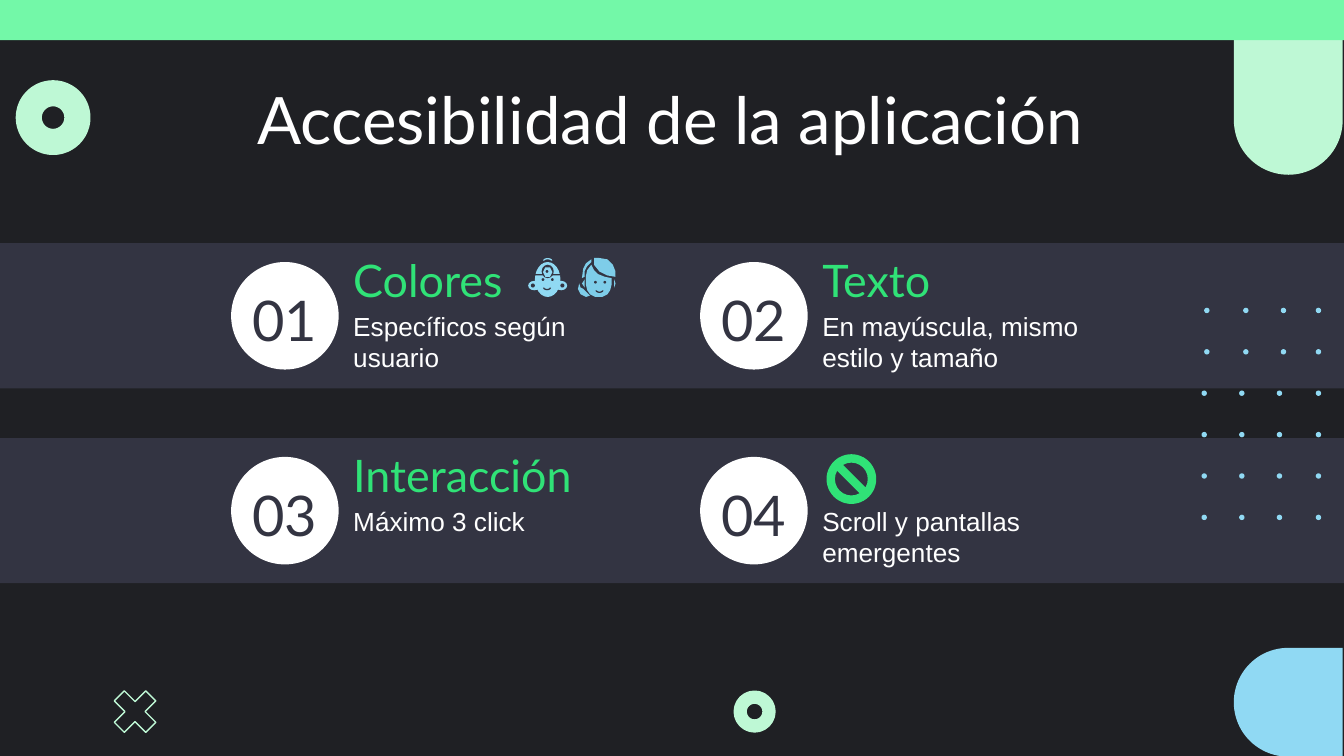
from pptx import Presentation
from pptx.dml.color import RGBColor
from pptx.enum.shapes import MSO_SHAPE
from pptx.enum.text import MSO_ANCHOR, PP_ALIGN
from pptx.util import Inches, Pt

RECTANGLE, OVAL, DONUT = MSO_SHAPE.RECTANGLE, MSO_SHAPE.OVAL, MSO_SHAPE.DONUT
CROSS, TAB = MSO_SHAPE.MATH_MULTIPLY, MSO_SHAPE.ROUND_2_SAME_RECTANGLE
BAN, ARCH, HEXAGON = MSO_SHAPE.NO_SYMBOL, MSO_SHAPE.BLOCK_ARC, MSO_SHAPE.HEXAGON
TOP, MIDDLE, BOTTOM = MSO_ANCHOR.TOP, MSO_ANCHOR.MIDDLE, MSO_ANCHOR.BOTTOM
LEFT, CENTER = PP_ALIGN.LEFT, PP_ALIGN.CENTER

COLORS = {
    "background": "1F2024", "band": "333442", "white": "FFFFFF",
    "green": "30E277", "bar": "73F8A8", "mint": "BEF8D5",
    "sky": "90D9F3", "blue": "7ECDE9",
}
TITLE = "Accesibilidad de la aplicación"
ITEMS = [
    ("01", "Colores", "Específicos según usuario"),
    ("02", "Texto", "En mayúscula, mismo estilo y tamaño"),
    ("03", "Interacción", "Máximo 3 click"),
    ("04", "", "Scroll y pantallas emergentes"),
]
COLUMN_LEFTS, COLUMN_WIDTHS = [1.72, 5.21], [2.25, 2.26]
BAND_TOP, BAND_HEIGHT, ROW_STEP = 1.81, 1.08, 1.45
DOT_SIZE, DOT_TOP, DOT_BOTTOM = 0.04, 2.29, 3.83
UPPER_DOTS, LOWER_DOTS = [8.96, 9.25, 9.53, 9.79], [8.94, 9.22, 9.5, 9.79]
DOT_ROWS = [UPPER_DOTS] * 2 + [LOWER_DOTS] * 4
DOT_STEP = (DOT_BOTTOM - DOT_TOP) / (len(DOT_ROWS) - 1)

CROWNED_FACE = [
    (OVAL, (3.93, 2.09, 0.09, 0.07), "sky"),
    (OVAL, (4.13, 2.09, 0.09, 0.07), "sky"),
    (OVAL, (3.95, 2.11, 0.03, 0.03), "band"),
    (OVAL, (4.17, 2.11, 0.03, 0.03), "band"),
    (OVAL, (3.98, 1.95, 0.19, 0.26), "sky"),
    (RECTANGLE, (3.97, 2.04, 0.21, 0.01), "band"),
    (OVAL, (4.03, 1.97, 0.09, 0.1), "band"),
    (HEXAGON, (4.04, 1.99, 0.07, 0.07), "sky"),
    (OVAL, (4.06, 2.01, 0.02, 0.02), "band"),
    (ARCH, (4.04, 1.92, 0.07, 0.04), "sky"),
]
HAIR_AND_FACE = [
    [(4.4, 1.97), (4.37, 2.01), (4.36, 2.05), (4.36, 2.12), (4.37, 2.16),
     (4.39, 2.19), (4.43, 2.21), (4.48, 2.21), (4.52, 2.19), (4.54, 2.16),
     (4.55, 2.12), (4.55, 2.07), (4.5, 2.06), (4.45, 2.04), (4.42, 2.01)],
    [(4.46, 1.92), (4.42, 1.92), (4.42, 1.97), (4.46, 2.02), (4.52, 2.05),
     (4.58, 2.06), (4.58, 2.02), (4.56, 1.97), (4.52, 1.93)],
    [(4.4, 1.93), (4.36, 1.96), (4.34, 2), (4.33, 2.07), (4.35, 2.06),
     (4.35, 2.02), (4.37, 1.98), (4.4, 1.95)],
    [(4.31, 2.11), (4.3, 2.15), (4.32, 2.19), (4.36, 2.21), (4.39, 2.2),
     (4.36, 2.17), (4.34, 2.15), (4.32, 2.14)],
    [(4.35, 2.08), (4.33, 2.11), (4.35, 2.14)],
    [(4.57, 2.08), (4.57, 2.14), (4.58, 2.11)],
]
FACE_CENTERS = [(4.07, 2.08), (4.46, 2.1)]

presentation = Presentation()
presentation.slide_width = Inches(10)
presentation.slide_height = presentation.slide_width * 9 // 16
slide = presentation.slides.add_slide(presentation.slide_layouts[5])


def color(name):
    return RGBColor.from_string(COLORS[name])


slide.background.fill.solid()
slide.background.fill.fore_color.rgb = color("background")


def paint(shape, fill=None, line=None, line_width=0.75):
    shape.shadow.inherit = False
    if fill:
        shape.fill.solid()
        shape.fill.fore_color.rgb = color(fill)
    else:
        shape.fill.background()
    if line:
        shape.line.color.rgb = color(line)
        shape.line.width = Pt(line_width)
    else:
        shape.line.fill.background()


def add_shape(kind, box, fill=None, adjustments=(), rotation=0, **outline):
    shape = slide.shapes.add_shape(kind, *map(Inches, box))
    for index, value in enumerate(adjustments):
        shape.adjustments[index] = value
    shape.rotation = rotation
    paint(shape, fill, **outline)


def add_outline(points, fill):
    corners = [(Inches(x), Inches(y)) for x, y in points]
    builder = slide.shapes.build_freeform(*corners[0])
    builder.add_line_segments(corners[1:])
    paint(builder.convert_to_shape(), fill)


def write(text, box, size, font="Lato", ink="white", align=LEFT, anchor=TOP,
          bottom_inset=0.1, shape=None):
    shape = shape or slide.shapes.add_textbox(0, 0, 0, 0)
    shape.left, shape.top, shape.width, shape.height = map(Inches, box)
    frame = shape.text_frame
    frame.word_wrap = True
    frame.vertical_anchor = anchor
    frame.margin_left = frame.margin_right = frame.margin_top = Inches(0.1)
    frame.margin_bottom = Inches(bottom_inset)
    paragraph = frame.paragraphs[0]
    paragraph.alignment = align
    run = paragraph.add_run()
    run.text = text
    run.font.name, run.font.size = font, Pt(size)
    run.font.color.rgb = color(ink)


add_shape(DONUT, (0.2, 0.68, 0.39, 0.39), "green", [0.072], line="mint", line_width=12)
add_shape(CROSS, (0.78, 5.07, 0.45, 0.45), None, [0.235], line="mint")
add_shape(TAB, (9.18, 4.82, 0.81, 0.81), "sky", [0.5, 0], 270)
add_shape(DONUT, (5.5, 5.18, 0.23, 0.23), None, [0.066], line="mint", line_width=6)
add_shape(TAB, (9.18, 0, 0.81, 1.3), "mint", [0.5, 0], 180)
add_shape(RECTANGLE, (0, 0, 10, 0.3), "bar")

for row in range(2):
    add_shape(RECTANGLE, (0, BAND_TOP + row * ROW_STEP, 10, BAND_HEIGHT), "band")
for row, lefts in enumerate(DOT_ROWS):
    for left in lefts:
        add_shape(OVAL, (left, DOT_TOP + row * DOT_STEP, DOT_SIZE, DOT_SIZE), "sky")

write(TITLE, (0.79, 0.49, 8.4, 0.63), 35, align=CENTER, shape=slide.shapes.title)
for index, (number, heading, description) in enumerate(ITEMS):
    row, column = divmod(index, 2)
    left, width = COLUMN_LEFTS[column], COLUMN_WIDTHS[column]
    top = BAND_TOP + row * ROW_STEP
    add_shape(OVAL, (left, top + 0.14, 0.8, 0.8), "white")
    write(number, (left, top + 0.35, 0.8, 0.38), 30, ink="band", align=CENTER,
          anchor=MIDDLE, bottom_inset=0.05)
    write(description, (left + 0.81, top + 0.4, width, 0.63), 14, font="Arial")
    if heading:
        write(heading, (left + 0.81, top + 0.04, width, 0.53), 24, ink="green",
              anchor=BOTTOM)

for kind, box, fill in CROWNED_FACE:
    add_shape(kind, box, fill)
for points in HAIR_AND_FACE:
    add_outline(points, "blue")
for x, y in FACE_CENTERS:
    for offset in (-0.04, 0.03):
        add_shape(OVAL, (x + offset, y - 0.01, 0.02, 0.02), "band")
    add_shape(ARCH, (x - 0.03, y + 0.04, 0.06, 0.04), "band", rotation=180)
add_shape(BAN, (6.15, 3.38, 0.37, 0.37), "green", [0.17])

presentation.save("out.pptx")
